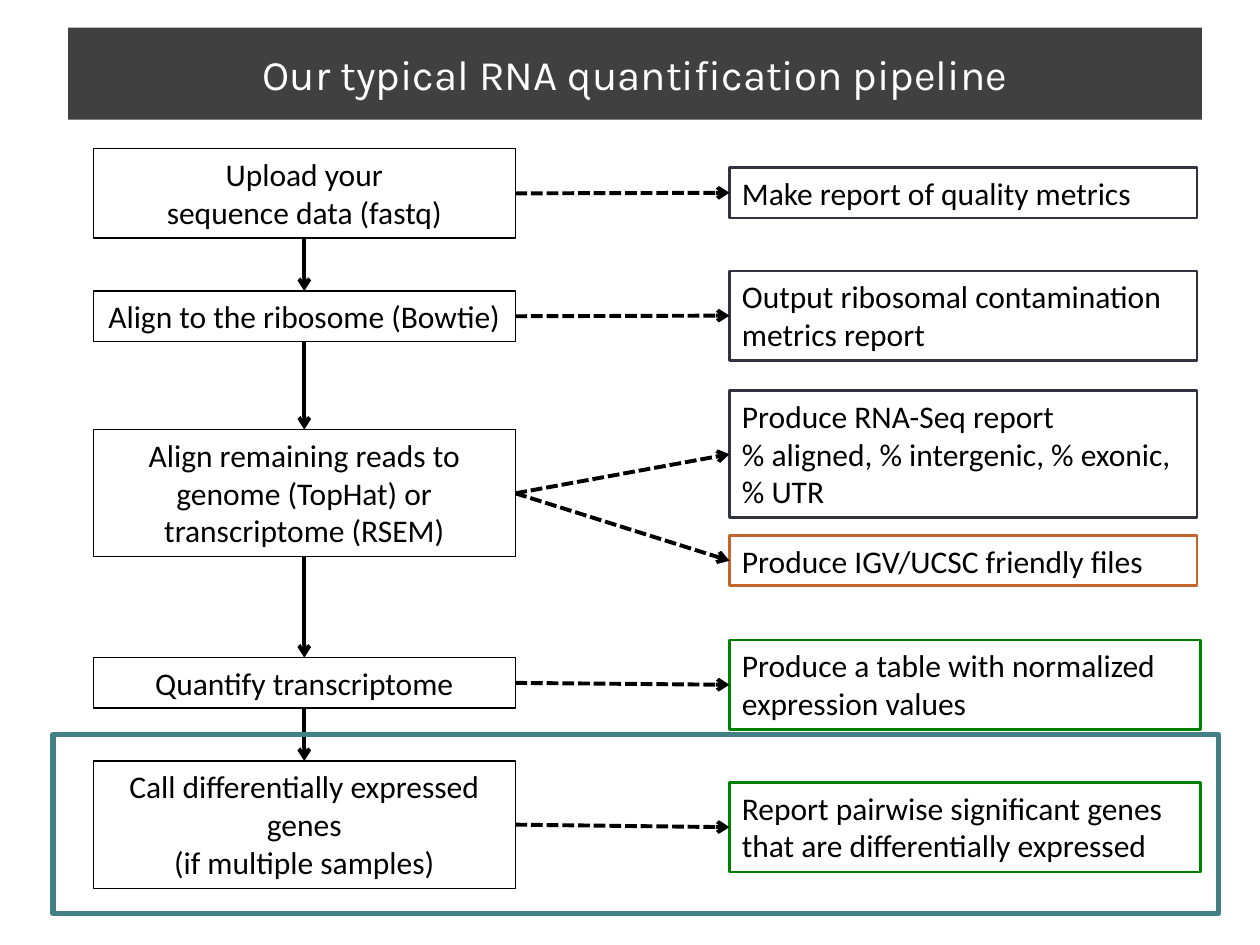
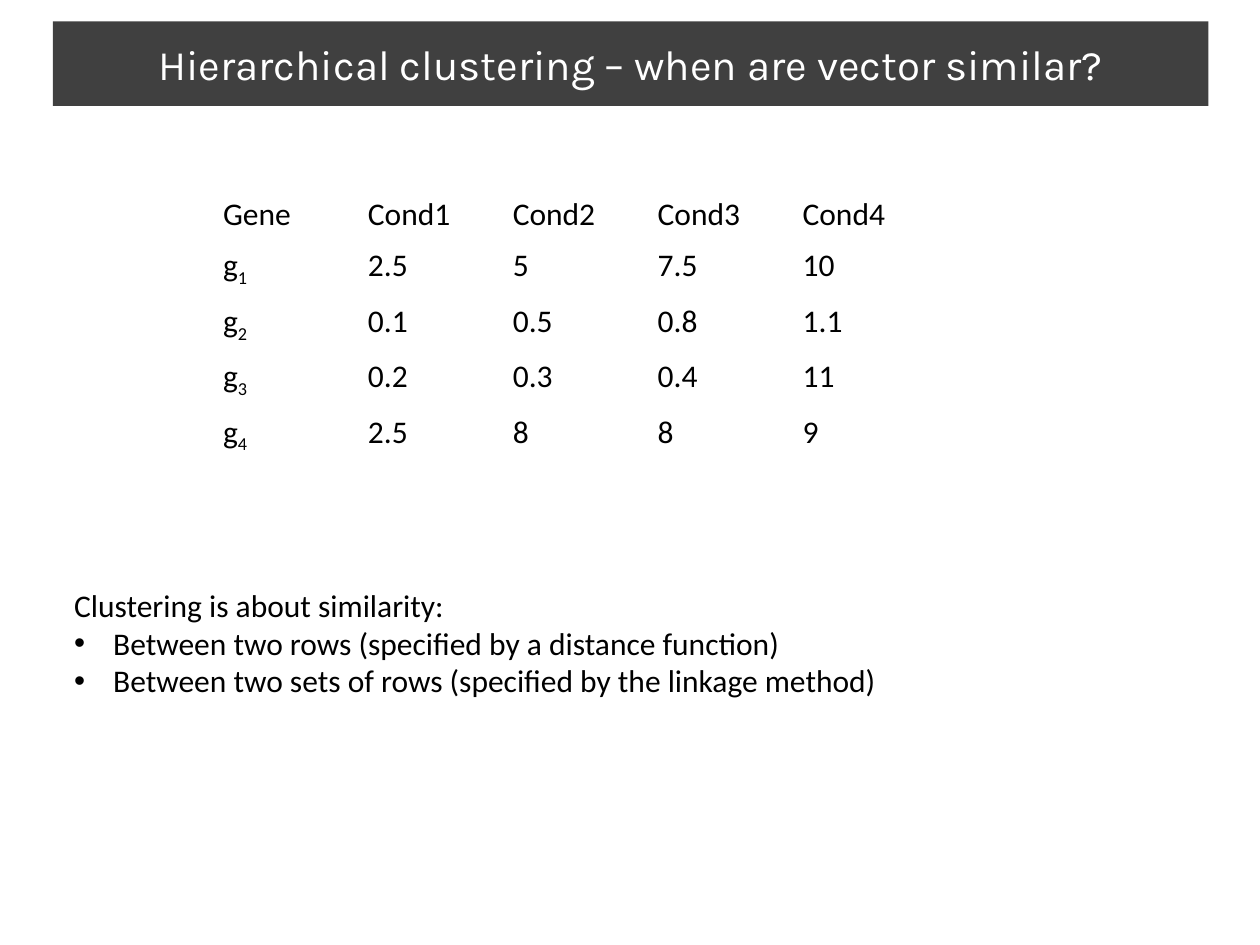
from pptx import Presentation
from pptx.dml.color import RGBColor
from pptx.enum.dml import MSO_LINE
from pptx.enum.shapes import MSO_CONNECTOR, MSO_SHAPE
from pptx.enum.text import MSO_ANCHOR, MSO_AUTO_SIZE, PP_ALIGN
from pptx.oxml.ns import qn
from pptx.util import Inches, Pt
from lxml import etree

RECT = MSO_SHAPE.RECTANGLE
STRAIGHT = MSO_CONNECTOR.STRAIGHT
DASH = MSO_LINE.SQUARE_DOT
LEFT, CENTER = PP_ALIGN.LEFT, PP_ALIGN.CENTER
TOP, MIDDLE = MSO_ANCHOR.TOP, MSO_ANCHOR.MIDDLE
GROW = MSO_AUTO_SIZE.SHAPE_TO_FIT_TEXT
ABOVE, BEFORE, BELOW, AFTER = range(4)  # connection sites of a rectangle

COLORS = {
    "band": "404040", "white": "FFFFFF", "black": "000000", "report": "323341",
    "files": "C4652D", "result": "008000", "frame": "438086",
}
HEIGHTS = {1: 0.4, 2: 0.71, 3: 1.01}  # box height by number of text lines


def rgb(name):
    return RGBColor.from_string(COLORS[name])


class Deck:
    def __init__(self):
        self.prs = Presentation()
        self.prs.slide_width, self.prs.slide_height = Inches(10), Inches(7.5)
        self.slide = None

    def add_slide(self):
        self.slide = self.prs.slides.add_slide(self.prs.slide_layouts[6])

    def add_text(self, para, text, font="Calibri", size=18, color="black", sub=False):
        run = para.add_run()
        run.text = text
        run.font.name, run.font.size = font, Pt(size)
        run.font.color.rgb = rgb(color)
        if sub:
            run.font._element.set("baseline", "-25000")

    def add_lines(self, frame, lines, align=LEFT, anchor=TOP, **style):
        frame.word_wrap = True
        frame.vertical_anchor = anchor
        for i, line in enumerate(lines):
            para = frame.paragraphs[0] if i == 0 else frame.add_paragraph()
            para.alignment = align
            self.add_text(para, line, **style)

    def rect(self, x, y, w, h, fill=None, line=None, width=0.75):
        shape = self.slide.shapes.add_shape(
            RECT, Inches(x), Inches(y), Inches(w), Inches(h))
        shape.shadow.inherit = False
        if fill:
            shape.fill.solid()
            shape.fill.fore_color.rgb = rgb(fill)
        else:
            shape.fill.background()
        if line:
            shape.line.color.rgb = rgb(line)
            shape.line.width = Pt(width)
        else:
            shape.line.fill.background()
        return shape

    def title(self, text, x, y, w, h):
        band = self.rect(x, y, w, h, fill="band")
        self.add_lines(band.text_frame, [text], CENTER, MIDDLE,
                       font="Karla", size=24, color="white")

    def box(self, x, y, w, rows, lines, align, line, width):
        shape = self.rect(x, y, w, HEIGHTS[rows], line=line, width=width)
        self.add_lines(shape.text_frame, lines, align)
        shape.text_frame.auto_size = GROW
        return shape

    def arrow(self, start, out, end, into, dash=False):
        link = self.slide.shapes.add_connector(STRAIGHT, 0, 0, 0, 0)
        link.begin_connect(start, out)
        link.end_connect(end, into)
        link.line.color.rgb = rgb("black")
        link.line.width = Pt(2.25)
        if dash:
            link.line.dash_style = DASH
        etree.SubElement(link.line._get_or_add_ln(), qn("a:tailEnd"), type="arrow")
        etree.SubElement(link._element.spPr, qn("a:effectLst"))

    def table(self, x, y, col, row, data):
        """Plain table; the digit of a gene name is set as a subscript."""
        rows, cols = len(data), len(data[0])
        table = self.slide.shapes.add_table(
            rows, cols, Inches(x), Inches(y),
            Inches(col * cols), Inches(row * rows)).table
        table.first_row = table.horz_banding = False
        for r, values in enumerate(data):
            for c, value in enumerate(values):
                cell = table.cell(r, c)
                cell.fill.background()
                para = cell.text_frame.paragraphs[0]
                if r and c == 0:
                    self.add_text(para, value[0])
                    self.add_text(para, value[1:], sub=True)
                else:
                    self.add_text(para, value)

    def bullets(self, x, y, w, h, head, items):
        frame = self.slide.shapes.add_textbox(
            Inches(x), Inches(y), Inches(w), Inches(h)).text_frame
        self.add_lines(frame, [head])
        for item in items:
            para = frame.add_paragraph()
            props = para._p.get_or_add_pPr()
            props.set("marL", str(Inches(0.31)))
            props.set("indent", str(-Inches(0.31)))
            etree.SubElement(props, qn("a:buFont"), typeface="Arial")
            etree.SubElement(props, qn("a:buChar"), char="•")
            self.add_text(para, item)


# Each step: top, text rows, lines
STEPS = [
    (1.18, 2, ["Upload your", "sequence data (fastq)"]),
    (2.31, 1, ["Align to the ribosome (Bowtie)"]),
    (3.41, 3, ["Align remaining reads to genome (TopHat) or transcriptome (RSEM)"]),
    (5.22, 1, ["Quantify transcriptome"]),
    (6.04, 3, ["Call differentially expressed genes", "(if multiple samples)"]),
]
# Each output: index of its step, top, width, text rows, colour, lines
OUTPUTS = [
    (0, 1.33, 3.71, 1, "report", ["Make report of quality metrics"]),
    (1, 2.15, 3.71, 2, "report", ["Output ribosomal contamination metrics report"]),
    (2, 3.1, 3.71, 3, "report",
     ["Produce RNA-Seq report", "% aligned, % intergenic, % exonic, % UTR"]),
    (2, 4.25, 3.71, 1, "files", ["Produce IGV/UCSC friendly files"]),
    (3, 5.08, 3.74, 2, "result",
     ["Produce a table with normalized expression values"]),
    (4, 6.21, 3.74, 2, "result",
     ["Report pairwise significant genes that are differentially expressed"]),
]
GENES = [
    ["Gene", "Cond1", "Cond2", "Cond3", "Cond4"],
    ["g1", "2.5", "5", "7.5", "10"],
    ["g2", "0.1", "0.5", "0.8", "1.1"],
    ["g3", "0.2", "0.3", "0.4", "11"],
    ["g4", "2.5", "8", "8", "9"],
]


def pipeline(deck):
    deck.add_slide()
    deck.title("Our typical RNA quantification pipeline", 0.54, 0.22, 9, 0.73)
    steps = [deck.box(0.74, y, 3.35, rows, lines, CENTER, "black", 0.75)
             for y, rows, lines in STEPS]
    for step, y, w, rows, color, lines in OUTPUTS:
        out = deck.box(5.79, y, w, rows, lines, LEFT, color, 1.5)
        deck.arrow(steps[step], AFTER, out, BEFORE, dash=True)
    for step, follow in zip(steps, steps[1:]):
        deck.arrow(step, BELOW, follow, ABOVE)
    deck.rect(0.42, 5.83, 9.25, 1.42, line="frame", width=3)


def cluster(deck):
    deck.add_slide()
    deck.title("Hierarchical clustering – when are vector similar?",
               0.42, 0.17, 9.17, 0.67)
    deck.table(1.67, 1.5, 1.15, 0.41, GENES)
    deck.bullets(0.49, 4.6, 6.68, 1.01, "Clustering is about similarity:", [
        "Between two rows (specified by a distance function)",
        "Between two sets of rows (specified by the linkage method)",
    ])


def main():
    deck = Deck()
    pipeline(deck)
    cluster(deck)
    deck.prs.save("out.pptx")


if __name__ == "__main__":
    main()
